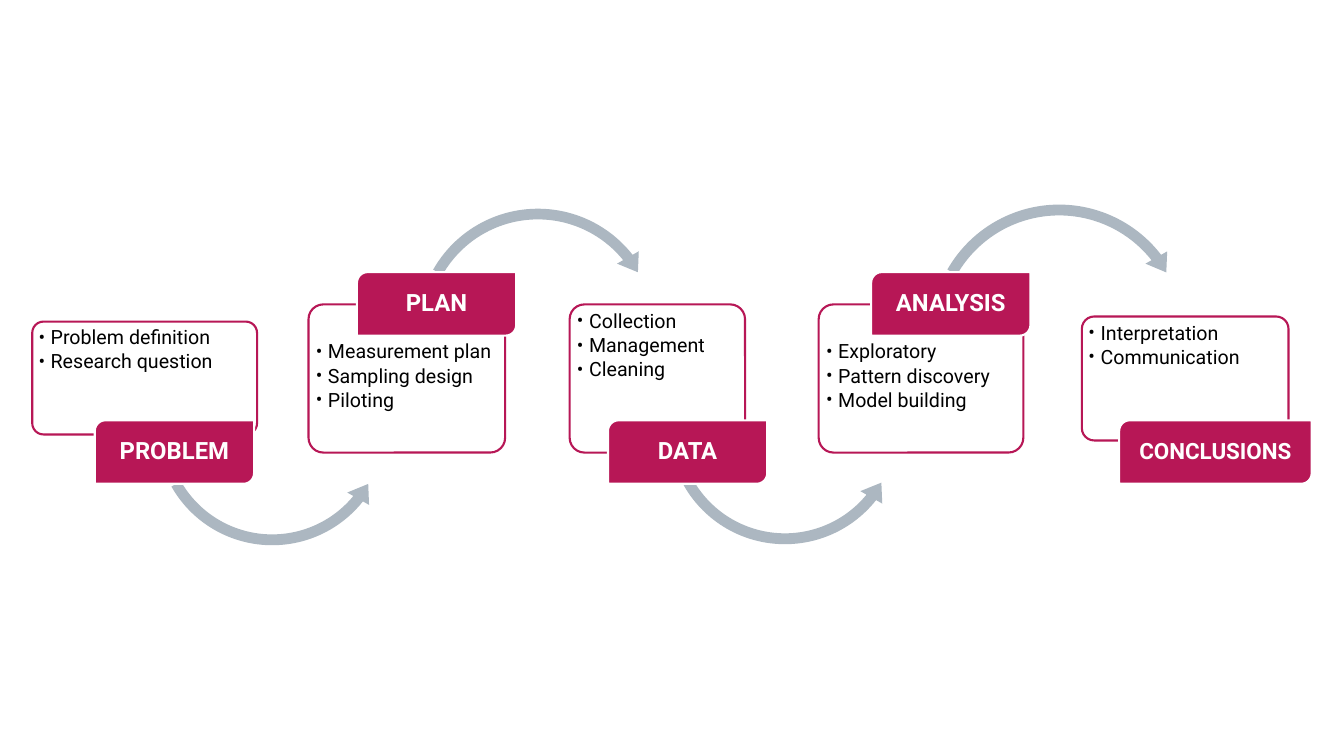
from lxml.etree import SubElement
from pptx import Presentation
from pptx.dml.color import RGBColor
from pptx.enum.shapes import MSO_SHAPE as Shape
from pptx.enum.text import MSO_ANCHOR as Anchor, PP_ALIGN as Align
from pptx.oxml.ns import qn
from pptx.util import Inches, Pt

CRIMSON, GREY, WHITE, BLACK = "B71756", "ACB7C1", "FFFFFF", "000000"
FONT = "Roboto"
LABEL_TOP = {"above": 2.7, "below": 4.17}
LABEL_HEIGHT = 0.63
CARD_INSET_TOP = {"above": 0.33, "below": 0.03}
ARROW_SHAPE = {"above": Shape.CIRCULAR_ARROW, "below": Shape.LEFT_CIRCULAR_ARROW}
DEGREE = 0.6

STEPS = [
    {"title": "PROBLEM", "side": "below", "size": 17,
     "items": ["Problem definition", "Research question"],
     "card": (0.32, 3.19, 2.23, 1.12), "label": (0.94, 1.58),
     "arrow": (1.48, 3.04, 2.44), "bend": (0.044, 9.3, 38.89, 150.41, 0.051)},
    {"title": "PLAN", "side": "above", "size": 17,
     "items": ["Measurement plan", "Sampling design", "Piloting"],
     "card": (3.06, 3.02, 1.95, 1.47), "label": (3.54, 1.58),
     "arrow": (4.07, 2, 2.53), "bend": (0.042, 8.9, 321.51, 209.59, 0.049)},
    {"title": "DATA", "side": "below", "size": 17,
     "items": ["Collection", "Management", "Cleaning"],
     "card": (5.65, 3.02, 1.74, 1.47), "label": (6.03, 1.58),
     "arrow": (6.56, 3.02, 2.45), "bend": (0.044, 9.22, 38.81, 150.41, 0.051)},
    {"title": "ANALYSIS", "side": "above", "size": 17,
     "items": ["Exploratory", "Pattern discovery", "Model building"],
     "card": (8.12, 3.02, 2.03, 1.47), "label": (8.64, 1.58),
     "arrow": (9.16, 1.96, 2.69), "bend": (0.04, 8.33, 322.12, 209.64, 0.046)},
    {"title": "CONCLUSIONS", "side": "below", "size": 16,
     "items": ["Interpretation", "Communication"],
     "card": (10.73, 3.14, 2.05, 1.23), "label": (11.1, 1.91)},
]


def color(value):
    return RGBColor.from_string(value)


def set_all(target, values):
    for name, value in values.items():
        setattr(target, name, value)


def add_shape(page, kind, box, fill, line=None):
    shape = page.shapes.add_shape(kind, *map(Inches, box))
    shape.shadow.inherit = False
    shape.fill.solid()
    shape.fill.fore_color.rgb = color(fill)
    if line:
        shape.line.color.rgb = color(line)
        shape.line.width = Pt(1.5)
    else:
        shape.line.fill.background()
    return shape


def write(shape, lines, insets, anchor, paragraph, font, ink):
    frame = shape.text_frame
    sides = ("margin_left", "margin_top", "margin_right", "margin_bottom")
    set_all(frame, dict(zip(sides, map(Inches, insets))))
    set_all(frame, {"word_wrap": True, "vertical_anchor": anchor})
    for index, line in enumerate(lines):
        para = frame.add_paragraph() if index else frame.paragraphs[0]
        set_all(para, {"line_spacing": 0.9, **paragraph})
        span = para.add_run()
        span.text = line
        set_all(span.font, {"name": FONT, **font})
        span.font.color.rgb = color(ink)
    return frame.paragraphs


def add_bullet(para):
    properties = para._p.get_or_add_pPr()
    properties.set("marL", str(Inches(0.12)))
    properties.set("indent", str(-Inches(0.12)))
    SubElement(properties, qn("a:buFont")).set("typeface", FONT)
    SubElement(properties, qn("a:buChar")).set("char", "•")


def add_card(page, step):
    card = add_shape(page, Shape.ROUNDED_RECTANGLE, step["card"], WHITE, CRIMSON)
    card.adjustments[0] = 0.1
    tint = card._element.spPr.find(qn("a:solidFill")).find(qn("a:srgbClr"))
    SubElement(tint, qn("a:alpha")).set("val", "90000")
    insets = (0.03, CARD_INSET_TOP[step["side"]], 0.03, 0.03)
    paragraph = {"alignment": Align.LEFT, "space_after": Pt(2.1)}
    for para in write(card, step["items"], insets, Anchor.TOP,
                      paragraph, {"size": Pt(14)}, BLACK):
        add_bullet(para)


def add_arrow(page, step):
    left, top, side = step["arrow"]
    arrow = add_shape(page, ARROW_SHAPE[step["side"]], (left, top, side, side), GREY)
    thickness, *angles, head = step["bend"]
    values = [thickness, *(angle * DEGREE for angle in angles), head]
    for index, value in enumerate(values):
        arrow.adjustments[index] = value


def add_label(page, step):
    left, width = step["label"]
    box = (left, LABEL_TOP[step["side"]], width, LABEL_HEIGHT)
    label = add_shape(page, Shape.ROUND_2_DIAG_RECTANGLE, box, CRIMSON, WHITE)
    write(label, [step["title"]], (0.03, 0.02, 0.03, 0.02), Anchor.MIDDLE,
          {"alignment": Align.CENTER}, {"size": Pt(step["size"]), "bold": True}, WHITE)


def main():
    deck = Presentation()
    set_all(deck, {"slide_width": Inches(13.33), "slide_height": Inches(7.5)})
    page = deck.slides.add_slide(deck.slide_layouts[6])
    for step in STEPS:
        add_card(page, step)
        if "arrow" in step:
            add_arrow(page, step)
        add_label(page, step)
    deck.save("out.pptx")


if __name__ == "__main__":
    main()
